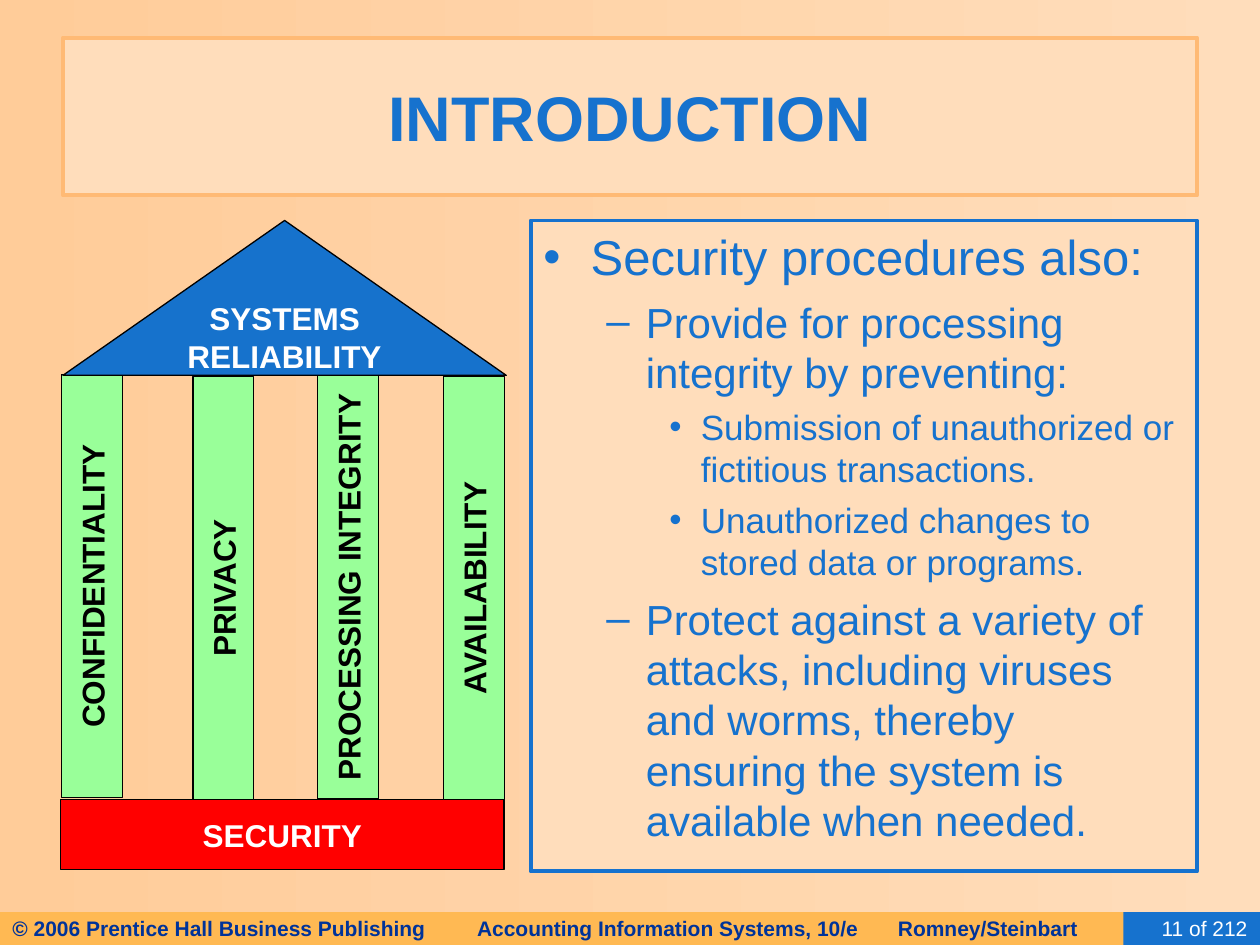
from dataclasses import dataclass

from lxml import etree
from pptx import Presentation
from pptx import util as u
from pptx.dml import color
from pptx.enum import shapes, text
from pptx.oxml import ns

COLORS = {
    "peach": "FFDDBB", "apricot": "FFCC99", "title_edge": "FFBA75",
    "blue": "1672CE", "roof": "1672CC", "footer": "FFB953", "navy": "003399",
    "red": "FF0000", "green": "99FF99", "black": "000000", "white": "FFFFFF",
}
ALIGN = text.PP_ALIGN


@dataclass(frozen=True)
class Area:
    left: float
    top: float
    width: float
    height: float


@dataclass(frozen=True)
class Block:
    label: str
    area: Area
    fill: str
    ink: str
    line: str | None = "black"
    size: float = 18
    bold: bool = True
    align: ALIGN = ALIGN.CENTER
    rotation: float = 0
    kind: shapes.MSO_SHAPE = shapes.MSO_SHAPE.RECTANGLE


@dataclass(frozen=True)
class Level:
    bullet: str
    indent: float
    hanging: float
    before: float
    size: float


LEVELS = [
    Level("•", 27, 27, 7, 28),
    Level("–", 58.5, 22.5, 6, 24),
    Level("•", 90, 18, 5, 20),
]
POINTS = [
    (0, "Security procedures also:"),
    (1, "Provide for processing integrity by preventing:"),
    (2, "Submission of unauthorized or fictitious transactions."),
    (2, "Unauthorized changes to stored data or programs."),
    (1, "Protect against a variety of attacks, including viruses and worms, "
        "thereby ensuring the system is available when needed."),
]
PILLARS = [
    ("CONFIDENTIALITY", 52.6, 334.8),
    ("PRIVACY", 127.6, 336),
    ("PROCESSING INTEGRITY", 198.9, 335.5),
    ("AVAILABILITY", 270.8, 336),
]
PILLAR_LENGTH, PILLAR_WIDTH = 242, 34.7
FOOTER_TABS = [265.5, 506]


def rgb(name: str) -> color.RGBColor:
    return color.RGBColor.from_string(COLORS[name])


def place(shape, area: Area) -> None:
    shape.left, shape.top = u.Pt(area.left), u.Pt(area.top)
    shape.width, shape.height = u.Pt(area.width), u.Pt(area.height)


def paint(shape, fill: str, line: str | None, weight: float) -> None:
    shape.fill.solid()
    shape.fill.fore_color.rgb = rgb(fill)
    if line is None:
        shape.line.fill.background()
    else:
        shape.line.color.rgb = rgb(line)
        shape.line.width = u.Pt(weight)


def style(para, size: float, ink: str, bold: bool) -> None:
    for span in para.runs:
        span.font.name = "Arial"
        span.font.size = u.Pt(size)
        span.font.bold = bold
        span.font.color.rgb = rgb(ink)


def add_block(page, block: Block):
    area = block.area
    box = page.shapes.add_shape(
        block.kind, u.Pt(area.left), u.Pt(area.top), u.Pt(area.width), u.Pt(area.height))
    box.shadow.inherit = False
    box.rotation = block.rotation
    paint(box, block.fill, block.line, 0.75)
    frame = box.text_frame
    frame.word_wrap = False
    frame.vertical_anchor = text.MSO_ANCHOR.MIDDLE
    frame.text = block.label
    for para in frame.paragraphs:
        para.alignment = block.align
        style(para, block.size, block.ink, block.bold)
    return box


def add_tabs(para, stops: list[float]) -> None:
    tab_list = etree.SubElement(para._p.get_or_add_pPr(), ns.qn("a:tabLst"))
    for stop in stops:
        etree.SubElement(tab_list, ns.qn("a:tab"), pos=str(u.Pt(stop)), algn="l")


def add_bullet(para, level: Level) -> None:
    properties = para._p.get_or_add_pPr()
    properties.set("marL", str(u.Pt(level.indent)))
    properties.set("indent", str(-u.Pt(level.hanging)))
    tint = etree.SubElement(properties, ns.qn("a:buClr"))
    etree.SubElement(tint, ns.qn("a:srgbClr"), val=COLORS["blue"])
    etree.SubElement(properties, ns.qn("a:buFont"), typeface="Arial")
    etree.SubElement(properties, ns.qn("a:buChar"), char=level.bullet)


def fill_background(page) -> None:
    fill = page.background.fill
    fill.gradient()
    fill.gradient_angle = 180
    for stop, position, name in zip(fill.gradient_stops, (0, 1), ("peach", "apricot")):
        stop.position = position
        stop.color.rgb = rgb(name)


def fill_title(title) -> None:
    place(title, Area(36, 21.6, 648, 90))
    paint(title, "peach", "title_edge", 2.5)
    frame = title.text_frame
    frame.auto_size = text.MSO_AUTO_SIZE.NONE
    frame.vertical_anchor = text.MSO_ANCHOR.MIDDLE
    frame.text = "INTRODUCTION"
    frame.paragraphs[0].alignment = ALIGN.CENTER
    style(frame.paragraphs[0], 36, "blue", True)


def fill_body(body) -> None:
    place(body, Area(303.3, 126, 380.7, 372))
    paint(body, "peach", "blue", 2.25)
    frame = body.text_frame
    frame.auto_size = text.MSO_AUTO_SIZE.NONE
    frame.text = "\n".join(wording for _, wording in POINTS)
    for index, (para, (depth, _)) in enumerate(zip(frame.paragraphs, POINTS)):
        level = LEVELS[depth]
        para.level = depth
        para.space_before = u.Pt(level.before if index else 0)
        add_bullet(para, level)
        style(para, level.size, "blue", False)


def add_footer(page) -> None:
    bar = add_block(page, Block(
        "© 2006 Prentice Hall Business Publishing\tAccounting Information Systems, 10/e"
        "\tRomney/Steinbart",
        Area(0, 521.3, 666, 18.7), "footer", "navy", None, 12, align=ALIGN.LEFT))
    bar.text_frame.word_wrap = True
    add_tabs(bar.text_frame.paragraphs[0], FOOTER_TABS)
    counter = add_block(page, Block(
        "11 of 212", Area(642, 521.3, 78, 18.7), "blue", "white", None, 12, False, ALIGN.RIGHT))
    counter.text_frame.word_wrap = True


def add_temple(page) -> None:
    add_block(page, Block("SECURITY", Area(34.7, 457, 253.3, 40), "red", "white"))
    for label, middle, center in PILLARS:
        area = Area(middle - PILLAR_LENGTH / 2, center - PILLAR_WIDTH / 2,
                    PILLAR_LENGTH, PILLAR_WIDTH)
        add_block(page, Block(label, area, "green", "black", rotation=270))
    add_block(page, Block("SYSTEMS\nRELIABILITY", Area(36, 126, 253.3, 88.5), "roof", "white",
                          kind=shapes.MSO_SHAPE.ISOSCELES_TRIANGLE))


def main() -> None:
    deck = Presentation()
    deck.slide_width, deck.slide_height = u.Pt(720), u.Pt(540)
    page = deck.slides.add_slide(deck.slide_layouts[1])
    fill_background(page)
    fill_title(page.shapes.title)
    fill_body(page.placeholders[1])
    add_footer(page)
    add_temple(page)
    deck.save("out.pptx")


if __name__ == "__main__":
    main()
